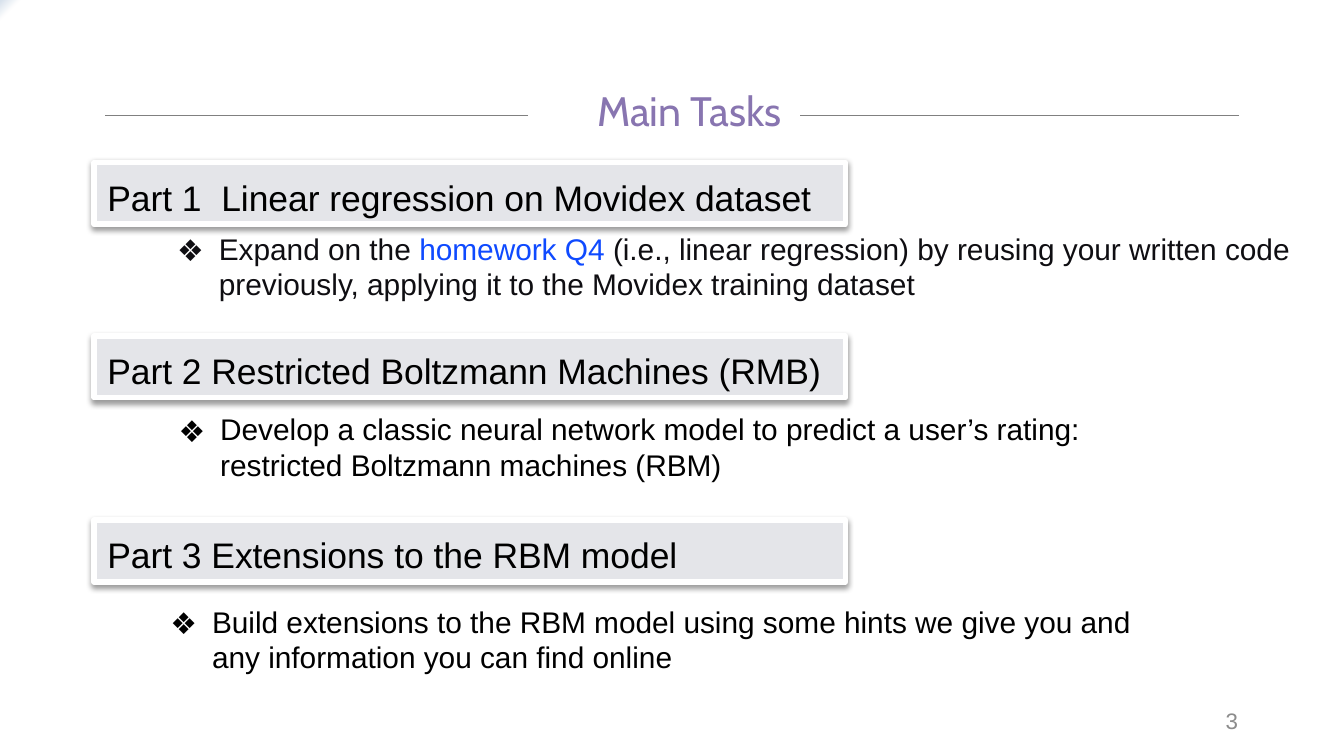
from lxml import etree
from pptx import Presentation
from pptx.dml.color import RGBColor
from pptx.enum.shapes import MSO_CONNECTOR, MSO_SHAPE
from pptx.enum.text import MSO_ANCHOR, PP_ALIGN
from pptx.oxml import parse_xml
from pptx.oxml.ns import nsdecls, qn
from pptx.util import Pt

PX = 9144  # 100 px to the inch
RECT, STRAIGHT = MSO_SHAPE.RECTANGLE, MSO_CONNECTOR.STRAIGHT
TOP, MIDDLE = MSO_ANCHOR.TOP, MSO_ANCHOR.MIDDLE
LEFT, CENTER, RIGHT = PP_ALIGN.LEFT, PP_ALIGN.CENTER, PP_ALIGN.RIGHT

WHITE = RGBColor(0xFF, 0xFF, 0xFF)
BLACK = RGBColor(0x00, 0x00, 0x00)
INK = RGBColor(0x0F, 0x0E, 0x12)
BLUE = RGBColor(0x0F, 0x4A, 0xFF)
PURPLE = RGBColor(0x88, 0x75, 0xB0)
GRAY = RGBColor(0x8C, 0x8C, 0x8C)
RULE = RGBColor(0x80, 0x80, 0x80)
PANEL = RGBColor(0xE4, 0xE5, 0xE9)
MIST = RGBColor(0xD7, 0xE1, 0xEC)

SHADOW = f"""<a:effectLst {nsdecls('a')}>
<a:outerShdw blurRad="{Pt(3.1)}" dist="{Pt(1.6)}" dir="5400000" rotWithShape="0">
<a:srgbClr val="000000"><a:alpha val="38000"/></a:srgbClr>
</a:outerShdw></a:effectLst>"""

# Heading, bar top, note box, note margins (top, bottom), indent, runs
PARTS = [
    ("Part 1  Linear regression on Movidex dataset", 121,
     (106, 179, 872, 63), (0, 25), 47,
     [("Expand on the ", INK), ("homework Q4 ", BLUE),
      ("(i.e., linear regression) by reusing your written code previously, "
       "applying it to the Movidex training dataset", INK)]),
    ("Part 2 Restricted Boltzmann Machines (RMB)", 250,
     (123, 301, 781, 64), (5, 5), 31,
     [("Develop a classic neural network model to predict a user’s rating: "
       "restricted Boltzmann machines (RBM)", BLACK)]),
    ("Part 3 Extensions to the RBM model", 387,
     (117, 444, 767, 64), (5, 5), 31,
     [("Build extensions to the RBM model using some hints we give you and "
       "any information you can find online", BLACK)]),
]


def place(shape, box):
    for name, val in zip(("left", "top", "width", "height"), box):
        setattr(shape, name, val * PX)


def write(shape, runs, size, font="Arial", align=LEFT, anchor=TOP, pads=(5, 5)):
    frame = shape.text_frame
    form = {"word_wrap": True, "vertical_anchor": anchor,
            "margin_left": 10 * PX, "margin_right": 10 * PX,
            "margin_top": pads[0] * PX, "margin_bottom": pads[1] * PX}
    for name, val in form.items():
        setattr(frame, name, val)
    para = frame.paragraphs[0]
    para.alignment = align
    for text, color in runs:
        run = para.add_run()
        run.text = text
        for name, val in {"name": font, "size": Pt(size)}.items():
            setattr(run.font, name, val)
        run.font.color.rgb = color
    return para


def add_back(slide):
    fill = slide.background.fill
    fill.gradient()
    fill.gradient_angle = 135
    for stop, pos, color in zip(fill.gradient_stops, (0.99, 1), (WHITE, MIST)):
        stop.position = pos
        stop.color.rgb = color


def add_title(slide):
    title = slide.shapes.title
    place(title, (390, 59, 246, 52))
    para = write(title, [("Main Tasks", PURPLE)], 22, "Cabin", CENTER, MIDDLE, (10, 10))
    para.line_spacing = 0.85


def add_rule(slide, start, end):
    rule = slide.shapes.add_connector(STRAIGHT, start * PX, 86 * PX, end * PX, 86 * PX)
    rule.line.color.rgb = RULE
    rule.line.width = Pt(0.75)
    etree.SubElement(rule._element.spPr, qn("a:effectLst"))


def add_bar(slide, text, top):
    bar = slide.shapes.add_shape(RECT, 0, 0, 0, 0)
    place(bar, (70, top, 559, 46))
    bar.fill.solid()
    bar.fill.fore_color.rgb = PANEL
    bar.line.color.rgb = WHITE
    bar.line.width = Pt(3)
    bar._element.spPr.append(parse_xml(SHADOW))
    write(bar, [(text, BLACK)], 19, pads=(10, 10))


def add_note(slide, box, pads, indent, runs):
    note = slide.shapes.add_textbox(0, 0, 0, 0)
    place(note, box)
    para = write(note, runs, 16, anchor=MIDDLE if pads[0] == 0 else TOP, pads=pads)
    props = para._p.get_or_add_pPr()
    for name, val in {"marL": indent, "indent": -31}.items():
        props.set(name, str(val * PX))
    tint = etree.SubElement(props, qn("a:buClr"))
    etree.SubElement(tint, qn("a:srgbClr")).set("val", str(runs[0][1]))
    etree.SubElement(props, qn("a:buFont")).set("typeface", "Noto Sans Symbols")
    etree.SubElement(props, qn("a:buChar")).set("char", "❖")


def add_page(slide):
    page = slide.shapes.add_textbox(0, 0, 0, 0)
    place(page, (706, 521, 225, 30))
    write(page, [("3", GRAY)], 12, align=RIGHT, anchor=MIDDLE)


def main():
    deck = Presentation()
    # Widescreen, 16 to 9
    deck.slide_width = 1000 * PX
    deck.slide_height = deck.slide_width * 9 // 16
    slide = deck.slides.add_slide(deck.slide_layouts[5])
    add_back(slide)

    # Title between two rules
    add_title(slide)
    for start, end in ((393, 78), (922, 595)):
        add_rule(slide, start, end)

    # Task parts
    for head, top, box, pads, indent, runs in PARTS:
        add_bar(slide, head, top)
        add_note(slide, box, pads, indent, runs)

    # Page number
    add_page(slide)
    deck.save("out.pptx")


if __name__ == "__main__":
    main()
